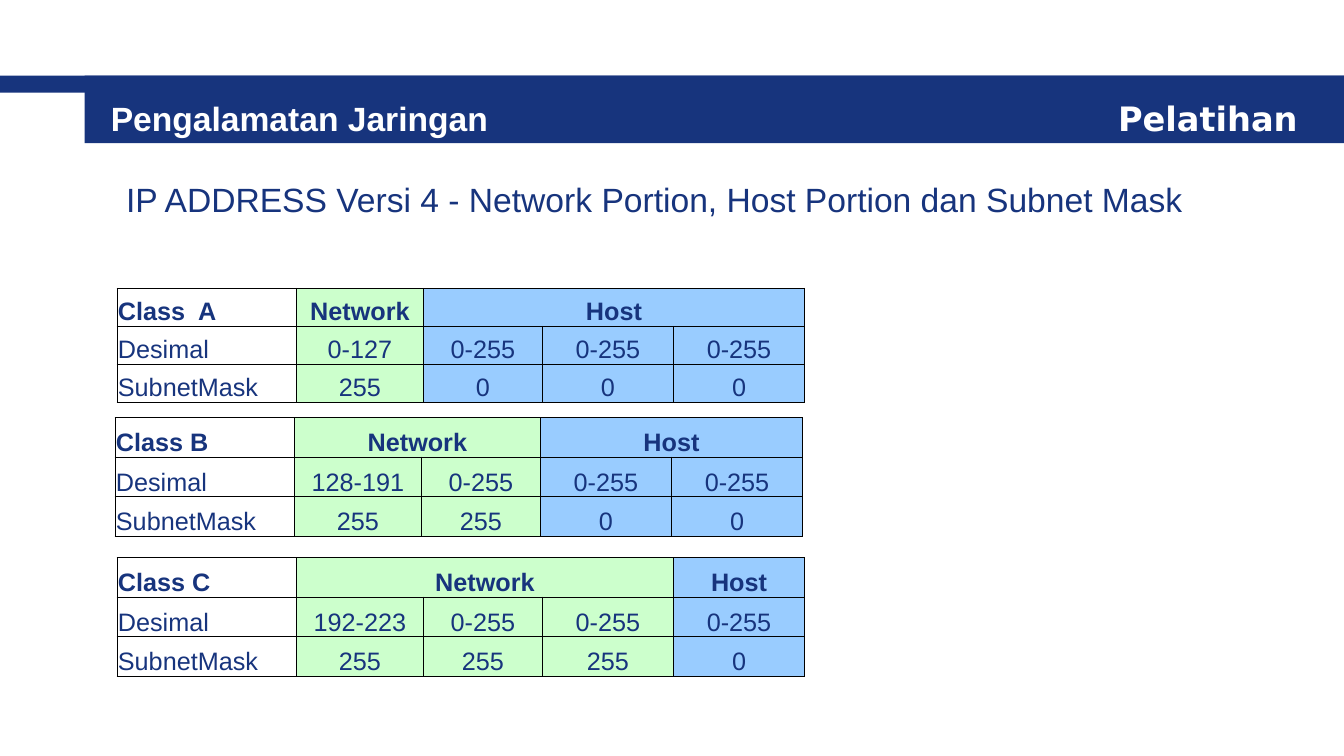
from lxml import etree
from pptx import Presentation, util as u
from pptx.dml.color import RGBColor
from pptx.enum import shapes, text
from pptx.oxml.ns import qn

INK = {"navy": "17347D", "white": "FFFFFF", "green": "CCFFCC",
       "blue": "99CCFF", "black": "000000"}
COLS = [1.78, 1.26, 1.18, 1.3, 1.3]
HEAD = "Pengalamatan Jaringan"
SIDE = "Pelatihan"
TITLE = "IP ADDRESS Versi 4 - Network Portion, Host Portion dan Subnet Mask"
# Name, left, top, row height, network octets, first octet range
NETS = [("Class  A", 1.16, 2.86, 0.377, 1, "0-127"),
        ("Class B", 1.14, 4.14, 0.393, 2, "128-191"),
        ("Class C", 1.16, 5.53, 0.393, 3, "192-223")]


class Deck:
    font = "Arial"

    def __init__(self):
        self.prs = Presentation()
        self.prs.slide_width = u.Inches(13.33)
        self.prs.slide_height = u.Inches(7.5)
        self.slide = self.prs.slides.add_slide(self.prs.slide_layouts[5])

    def color(self, name):
        return RGBColor.from_string(INK[name])

    def style(self, para, size, ink="navy", bold=False):
        font = para.font
        font.name, font.size, font.bold = self.font, u.Pt(size), bold
        font.color.rgb = self.color(ink)

    def bar(self, *box):
        shape = self.slide.shapes.add_shape(
            shapes.MSO_SHAPE.RECTANGLE, *map(u.Inches, box))
        shape.shadow.inherit = False
        shape.fill.solid()
        shape.fill.fore_color.rgb = self.color("navy")
        shape.line.fill.background()

    def header(self, left, right, stop, *box):
        frame = self.slide.shapes.add_textbox(*map(u.Inches, box)).text_frame
        frame.word_wrap = True
        para = frame.paragraphs[0]
        tabs = etree.SubElement(para._p.get_or_add_pPr(), qn("a:tabLst"))
        etree.SubElement(tabs, qn("a:tab"), pos=str(u.Inches(stop)), algn="l")
        self.style(para, 24, "white", True)
        para.add_run().text = left + "\t"
        run = para.add_run()
        run.text, run.font.name = right, "DejaVu Sans"

    def title(self, words, *box):
        shape = self.slide.shapes.title
        shape.left, shape.top, shape.width, shape.height = map(u.Inches, box)
        frame = shape.text_frame
        frame.text, frame.word_wrap = words, True
        frame.auto_size = text.MSO_AUTO_SIZE.NONE
        frame.vertical_anchor = text.MSO_ANCHOR.TOP
        para = frame.paragraphs[0]
        para.alignment = text.PP_ALIGN.JUSTIFY
        para.line_spacing = 0.87
        self.style(para, 24)

    def cell(self, cell, words, fill, bold):
        cell.margin_left = cell.margin_right = cell.margin_top = u.Inches(0.01)
        cell.margin_bottom = 0
        cell.vertical_anchor = text.MSO_ANCHOR.BOTTOM
        props = cell._tc.get_or_add_tcPr()
        for side in ("lnL", "lnR", "lnT", "lnB"):
            line = etree.SubElement(props, qn("a:" + side), w=str(u.Pt(0.5)))
            solid = etree.SubElement(line, qn("a:solidFill"))
            etree.SubElement(solid, qn("a:srgbClr"), val=INK["black"])
        if fill:
            cell.fill.solid()
            cell.fill.fore_color.rgb = self.color(fill)
        else:
            cell.fill.background()
        cell.text = words
        para = cell.text_frame.paragraphs[0]
        if fill:
            para.alignment = text.PP_ALIGN.CENTER
        self.style(para, 18, bold=bold)

    def table(self, rows, nets, left, top, high):
        box = (left, top, sum(COLS), high * len(rows))
        table = self.slide.shapes.add_table(
            len(rows), len(COLS), *map(u.Inches, box)).table
        table.first_row = table.horz_banding = False
        for col, wide in zip(table.columns, COLS):
            col.width = u.Inches(wide)
        for r, row in enumerate(rows):
            table.rows[r].height = u.Inches(high)
            for c, words in enumerate(row):
                fill = None if c == 0 else "green" if c <= nets else "blue"
                self.cell(table.cell(r, c), words, fill, r == 0)
        # Join the header cells of each portion
        for first, last in ((1, nets), (nets + 1, 4)):
            if first < last:
                table.cell(0, first).merge(table.cell(0, last))


def main():
    deck = Deck()

    # Banner
    deck.bar(0, 0.75, 13.33, 0.17)
    deck.bar(0.84, 0.75, 12.49, 0.67)
    deck.header(HEAD, SIDE, 9.99, 1, 0.92, 12.05, 0.5)

    # Heading
    deck.title(TITLE, 1.15, 1.78, 11.42, 0.8)

    # Address classes
    for name, left, top, high, nets, span in NETS:
        hosts = 4 - nets
        rows = [
            [name, "Network"] + [""] * (nets - 1) + ["Host"] + [""] * (hosts - 1),
            ["Desimal", span] + ["0-255"] * 3,
            ["SubnetMask"] + ["255"] * nets + ["0"] * hosts,
        ]
        deck.table(rows, nets, left, top, high)

    deck.prs.save("out.pptx")


if __name__ == "__main__":
    main()
